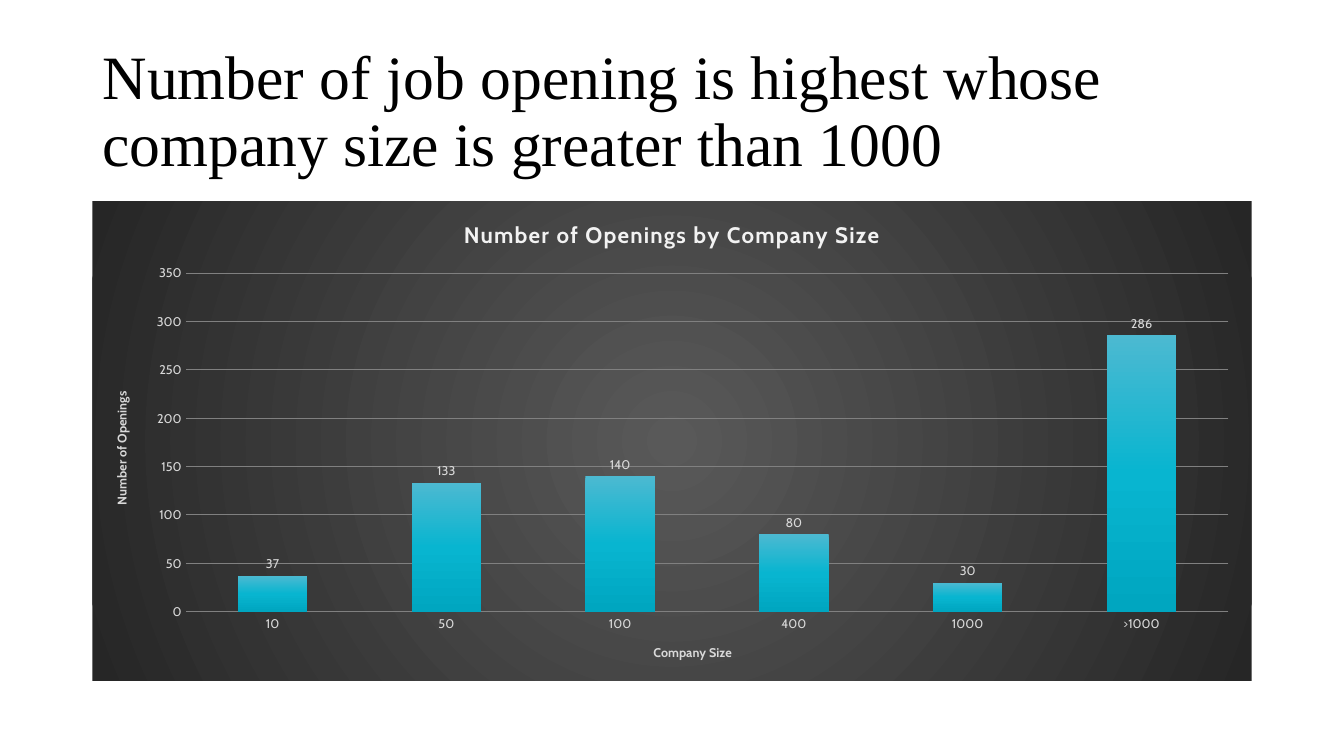
from dataclasses import dataclass

from lxml.etree import SubElement
from pptx import Presentation
from pptx.chart.data import CategoryChartData
from pptx.dml.color import RGBColor
from pptx.enum.chart import XL_CHART_TYPE as ChartType
from pptx.enum.chart import XL_LABEL_POSITION as LabelPosition
from pptx.enum.chart import XL_TICK_MARK as TickMark
from pptx.enum.text import MSO_ANCHOR as Anchor
from pptx.enum.text import PP_ALIGN as Align
from pptx.oxml.ns import qn
from pptx.util import Cm, Pt


@dataclass(frozen=True)
class Theme:
    """Fonts, colours and type sizes of the deck."""

    title_font: str = "Times New Roman"
    chart_font: str = "Cabin"
    ink: str = "000000"
    heading: str = "F2F2F2"
    label: str = "D9D9D9"
    grid: str = "808080"
    backdrop: tuple = ((0, "595959"), (100, "262626"))
    bars: tuple = ((0, "4CB9D1"), (50, "08B5D0"), (100, "00A6C0"))
    title_size: int = 44
    heading_size: int = 16
    label_size: int = 9


THEME = Theme()
OPENINGS = {"10": 37, "50": 133, "100": 140, "400": 80, "1000": 30, ">1000": 286}


def style_font(font, name, size, color, bold=False):
    """Set the face, size, colour and weight of a font."""
    font.name = name
    font.size = Pt(size)
    font.color.rgb = RGBColor.from_string(color)
    font.bold = bold


def add_gradient(properties, stops):
    """Append a gradient fill to shape properties and return it."""
    gradient = SubElement(properties, qn("a:gradFill"), rotWithShape="1")
    stop_list = SubElement(gradient, qn("a:gsLst"))
    for percent, color in stops:
        stop = SubElement(stop_list, qn("a:gs"), pos=str(percent * 1000))
        SubElement(stop, qn("a:srgbClr"), val=color)
    return gradient


def paint_backdrop(chart):
    """Give the chart area a radial gradient without a border."""
    space = chart.element
    properties = SubElement(space, qn("c:spPr"))
    space.find(qn("c:chart")).addnext(properties)
    gradient = add_gradient(properties, THEME.backdrop)
    circle = SubElement(gradient, qn("a:path"))
    circle.set("path", "circle")
    SubElement(circle, qn("a:fillToRect"), l="50000", t="50000", r="50000", b="50000")
    SubElement(SubElement(properties, qn("a:ln")), qn("a:noFill"))


def write_heading(holder, text, size, color, spacing=0):
    """Write a bold chart or axis title and return its text frame."""
    frame = holder.text_frame
    frame.text = text
    span = frame.paragraphs[0].runs[0]
    style_font(span.font, THEME.chart_font, size, color, bold=True)
    span.font._element.set("spc", str(spacing))
    return frame


def style_axis(axis, title):
    """Format an axis with light labels, no ticks and no line."""
    axis.major_tick_mark = axis.minor_tick_mark = TickMark.NONE
    axis.format.line.fill.background()
    style_font(axis.tick_labels.font, THEME.chart_font, THEME.label_size, THEME.label)
    return write_heading(axis.axis_title, title, THEME.label_size, THEME.label)


def add_title(page, text, left, top, width, height):
    """Place the slide title in the given box."""
    title = page.shapes.title
    title.left, title.top, title.width, title.height = left, top, width, height
    frame = title.text_frame
    frame.text = text
    frame.word_wrap = True
    frame.vertical_anchor = Anchor.MIDDLE
    para = frame.paragraphs[0]
    para.alignment = Align.LEFT
    para.line_spacing = 0.9
    style_font(para.runs[0].font, THEME.title_font, THEME.title_size, THEME.ink)


def add_openings_chart(page, left, top, width, height):
    """Place the column chart of openings in the given box."""
    data = CategoryChartData()
    data.categories = list(OPENINGS)
    data.add_series("Series 1", list(OPENINGS.values()))
    chart = page.shapes.add_chart(
        ChartType.COLUMN_CLUSTERED, left, top, width, height, data
    ).chart
    paint_backdrop(chart)
    style_font(chart.font, THEME.chart_font, 10, THEME.label)
    chart.has_legend = False
    write_heading(
        chart.chart_title,
        "Number of Openings by Company Size",
        THEME.heading_size,
        THEME.heading,
        spacing=100,
    )
    chart.chart_title.include_in_layout = False

    style_axis(chart.category_axis, "Company Size")
    values = chart.value_axis
    frame = style_axis(values, "Number of Openings")
    frame._txBody.bodyPr.set("rot", "-5400000")
    frame._txBody.bodyPr.set("vert", "horz")
    values.minimum_scale, values.maximum_scale, values.major_unit = 0, 350, 50
    grid = values.major_gridlines.format.line
    grid.color.rgb = RGBColor.from_string(THEME.grid)
    grid.width = Pt(0.75)

    plot = chart.plots[0]
    plot.gap_width = 150
    plot.vary_by_categories = False
    plot.has_data_labels = True
    labels = plot.data_labels
    labels.show_value = True
    labels.position = LabelPosition.OUTSIDE_END
    style_font(labels.font, THEME.chart_font, THEME.label_size, THEME.label)
    series = plot.series[0]
    gradient = add_gradient(series._element.get_or_add_spPr(), THEME.bars)
    SubElement(gradient, qn("a:lin"), ang="5400000", scaled="0")
    series.format.line.fill.background()


def main():
    """Build the deck and save it."""
    deck = Presentation()
    deck.slide_width, deck.slide_height = Cm(33.87), Cm(19.05)
    page = deck.slides.add_slide(deck.slide_layouts[5])
    left = Cm(2.33)
    width = deck.slide_width - 2 * left
    add_title(
        page,
        "Number of job opening is highest whose company size is greater than 1000",
        left, Cm(1.01), width, Cm(3.68),
    )
    add_openings_chart(page, left, Cm(5.07), width, Cm(12.09))
    deck.save("out.pptx")


if __name__ == "__main__":
    main()
